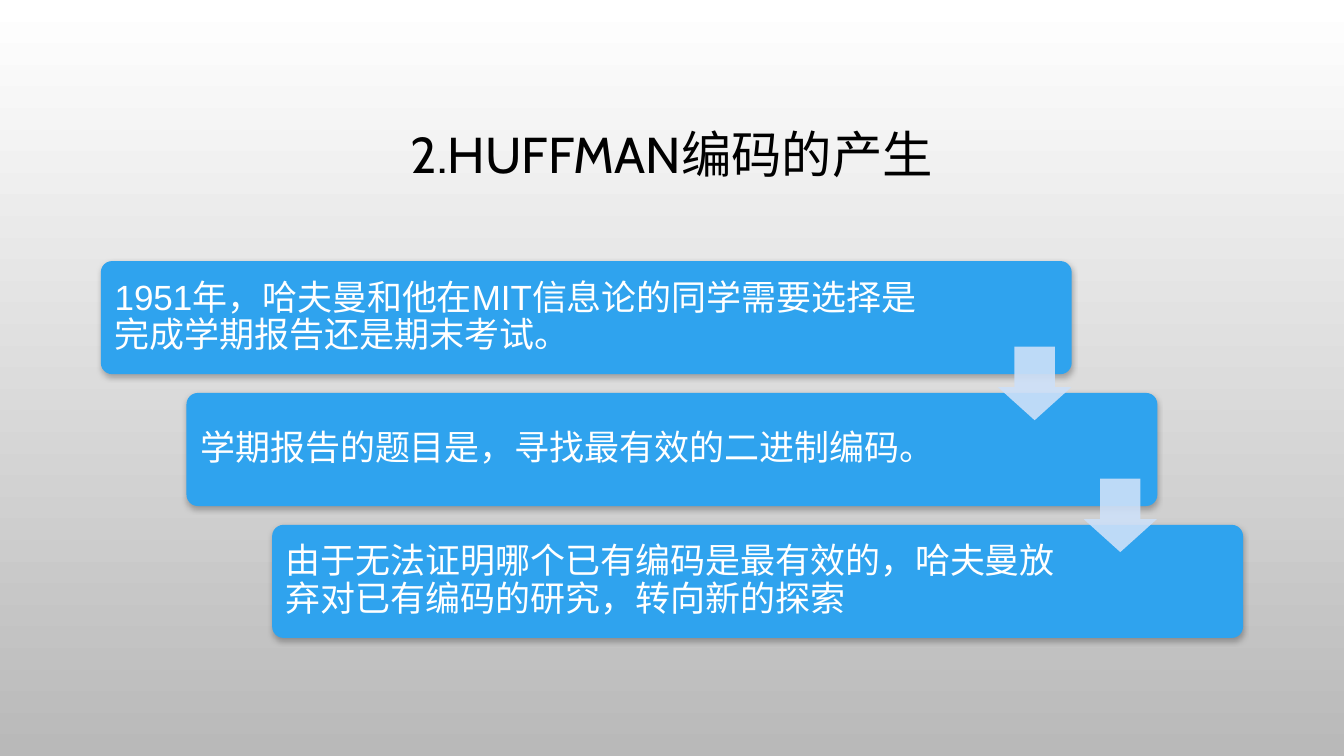
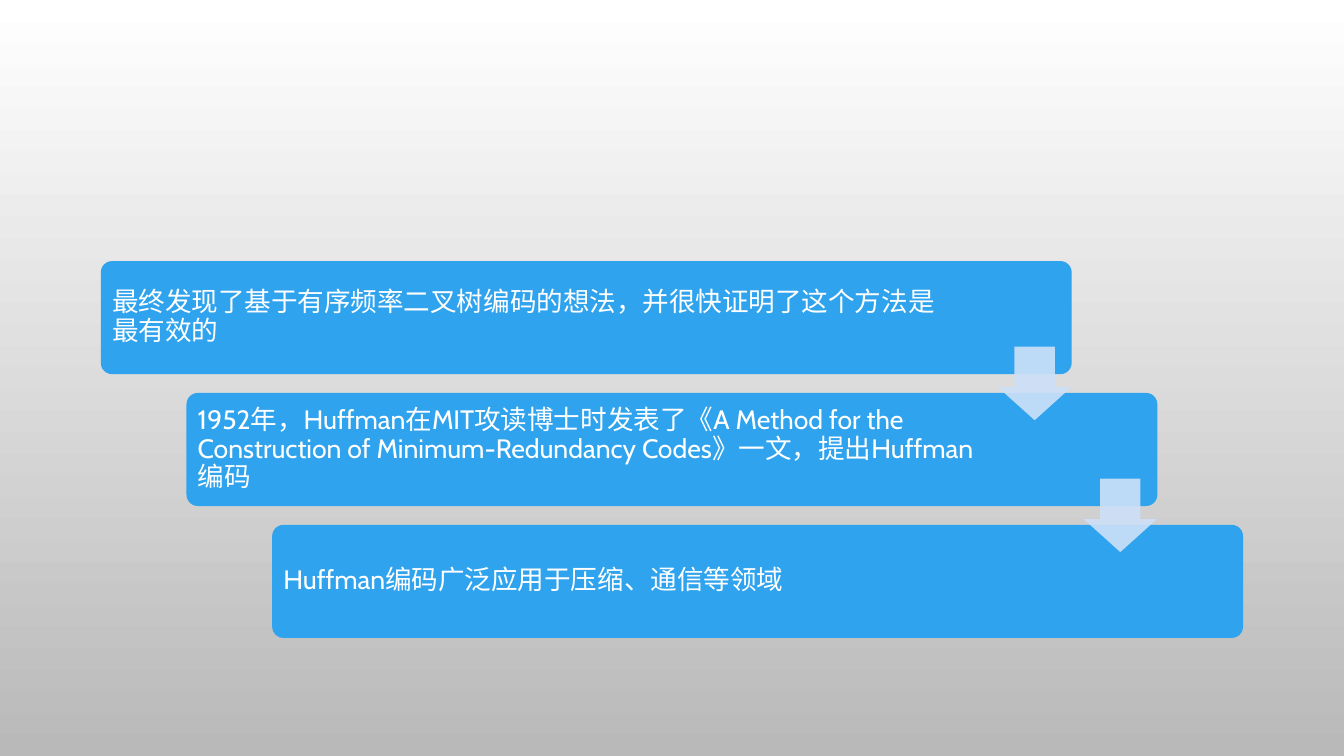
from lxml import etree
from pptx import Presentation
from pptx import util as u
from pptx.dml.color import RGBColor
from pptx.enum import lang, shapes, text
from pptx.oxml import ns

COLORS = {
    "background_top": "FFFFFF",
    "background_bottom": "B9B9B9",
    "title": "000000",
    "card": "2FA3EE",
    "card_text": "FFFFFF",
    "arrow": "CDE0F8",
    "shadow": "000000",
}
FONT = "Cabin"


def color(name):
    return RGBColor.from_string(COLORS[name])


def write(shape, content, size, ink, font=FONT, align=text.PP_ALIGN.LEFT):
    frame = shape.text_frame
    frame.word_wrap = True
    frame.auto_size = text.MSO_AUTO_SIZE.NONE
    frame.vertical_anchor = text.MSO_ANCHOR.MIDDLE
    paragraph = frame.paragraphs[0]
    paragraph.alignment = align
    paragraph.line_spacing = 0.9
    run = paragraph.add_run()
    run.text = content
    run.font.name = font
    run.font.size = u.Pt(size)
    run.font.color.rgb = color(ink)
    run.font.language_id = lang.MSO_LANGUAGE_ID.SIMPLIFIED_CHINESE


def add_child(parent, tag, **attributes):
    return etree.SubElement(parent, ns.qn(tag), attributes)


class Deck:
    CARD_LEFT, CARD_TOP, CARD_WIDTH, CARD_HEIGHT = 72, 186.5, 693.5, 80.8
    STEP_X, STEP_Y = 61.2, 94.2
    ARROW_LEFT, ARROW_TOP, ARROW_SIZE = 712.8, 247.7, 52.5
    FIRST_RIGHT_GAP, OTHER_RIGHT_GAP = 82.5, 113.4

    def __init__(self):
        self.presentation = Presentation()
        self.presentation.slide_width = u.Pt(960)
        self.presentation.slide_height = u.Pt(540)
        self.slide = None
        fill = self.presentation.slide_master.background.fill
        fill.gradient()
        fill.gradient_angle = 270
        for stop, name in zip(fill.gradient_stops, ("background_top", "background_bottom")):
            stop.color.rgb = color(name)

    def add_slide(self, title=None):
        layout = "Title Only" if title else "Blank"
        self.slide = self.presentation.slides.add_slide(
            self.presentation.slide_layouts.get_by_name(layout))
        if title:
            shape = self.slide.shapes.title
            shape.left, shape.top = u.Pt(72), u.Pt(49)
            shape.width, shape.height = u.Pt(816), u.Pt(126)
            write(shape, title, 36, "title", align=text.PP_ALIGN.CENTER)

    def add_shape(self, kind, left, top, width, height, fill, adjustments):
        shape = self.slide.shapes.add_shape(
            kind, u.Pt(left), u.Pt(top), u.Pt(width), u.Pt(height))
        shape.shadow.inherit = False
        shape.line.fill.background()
        shape.fill.solid()
        shape.fill.fore_color.rgb = color(fill)
        for index, value in enumerate(adjustments):
            shape.adjustments[index] = value
        return shape

    def add_shadow(self, shape):
        effects = shape._element.spPr.find(ns.qn("a:effectLst"))
        shadow = add_child(effects, "a:outerShdw", blurRad=str(u.Pt(4)),
                           dist=str(u.Pt(2)), dir="5400000", rotWithShape="0")
        ink = add_child(shadow, "a:srgbClr", val=COLORS["shadow"])
        add_child(ink, "a:alpha", val="28000")

    def add_card(self, index, content, size, inset, font, shadow):
        card = self.add_shape(
            shapes.MSO_SHAPE.ROUNDED_RECTANGLE,
            self.CARD_LEFT + index * self.STEP_X, self.CARD_TOP + index * self.STEP_Y,
            self.CARD_WIDTH, self.CARD_HEIGHT, "card", [0.1])
        if shadow:
            self.add_shadow(card)
        frame = card.text_frame
        frame.margin_left = frame.margin_top = frame.margin_bottom = u.Pt(inset)
        gap = self.OTHER_RIGHT_GAP if index else self.FIRST_RIGHT_GAP
        frame.margin_right = u.Pt(gap + inset)
        write(card, content, size, "card_text", font=font)

    def add_arrow(self, index):
        arrow = self.add_shape(
            shapes.MSO_SHAPE.DOWN_ARROW,
            self.ARROW_LEFT + index * self.STEP_X, self.ARROW_TOP + index * self.STEP_Y,
            self.ARROW_SIZE, self.ARROW_SIZE, "arrow", [0.55, 0.45])
        ink = arrow._element.spPr.find(ns.qn("a:solidFill"))[0]
        add_child(ink, "a:alpha", val="90000")

    def add_staircase(self, steps, size, inset, first_font=FONT, shadow=False):
        for index, content in enumerate(steps):
            font = FONT if index else first_font
            self.add_card(index, content, size, inset, font, shadow)
        for index in range(len(steps) - 1):
            self.add_arrow(index)


def main():
    deck = Deck()
    deck.add_slide("2.HUFFMAN编码的产生")
    deck.add_staircase([
        "1951年，哈夫曼和他在MIT信息论的同学需要选择是完成学期报告还是期末考试。",
        "学期报告的题目是，寻找最有效的二进制编码。",
        "由于无法证明哪个已有编码是最有效的，哈夫曼放弃对已有编码的研究，转向新的探索",
    ], size=25, inset=7.5, first_font="Arial", shadow=True)

    deck.add_slide()
    deck.add_staircase([
        "最终发现了基于有序频率二叉树编码的想法，并很快证明了这个方法是最有效的",
        "1952年，Huffman在MIT攻读博士时发表了《A Method for the Construction of "
        "Minimum-Redundancy Codes》一文，提出Huffman编码",
        "Huffman编码广泛应用于压缩、通信等领域",
    ], size=19, inset=5.7)

    deck.presentation.save("out.pptx")


if __name__ == "__main__":
    main()
